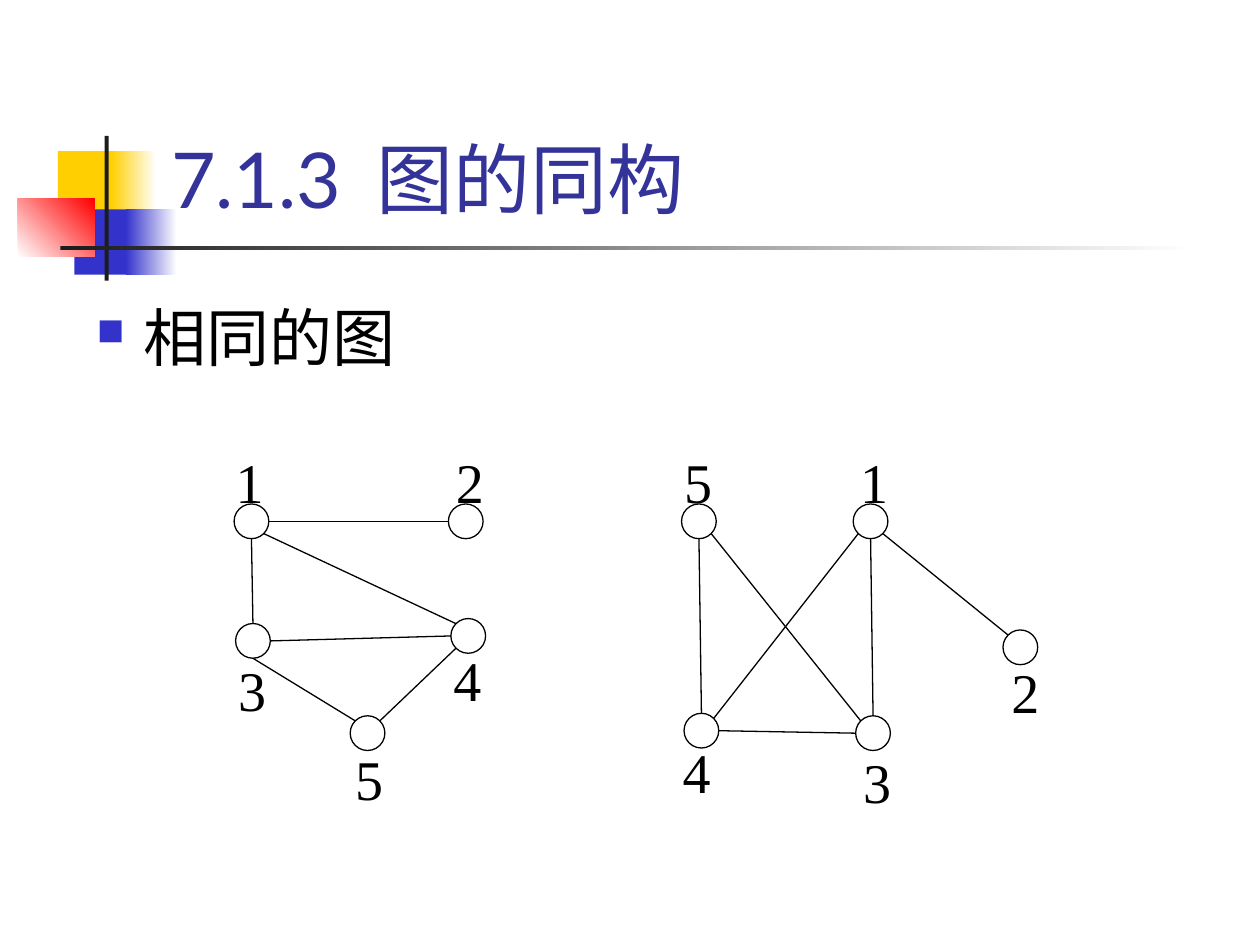
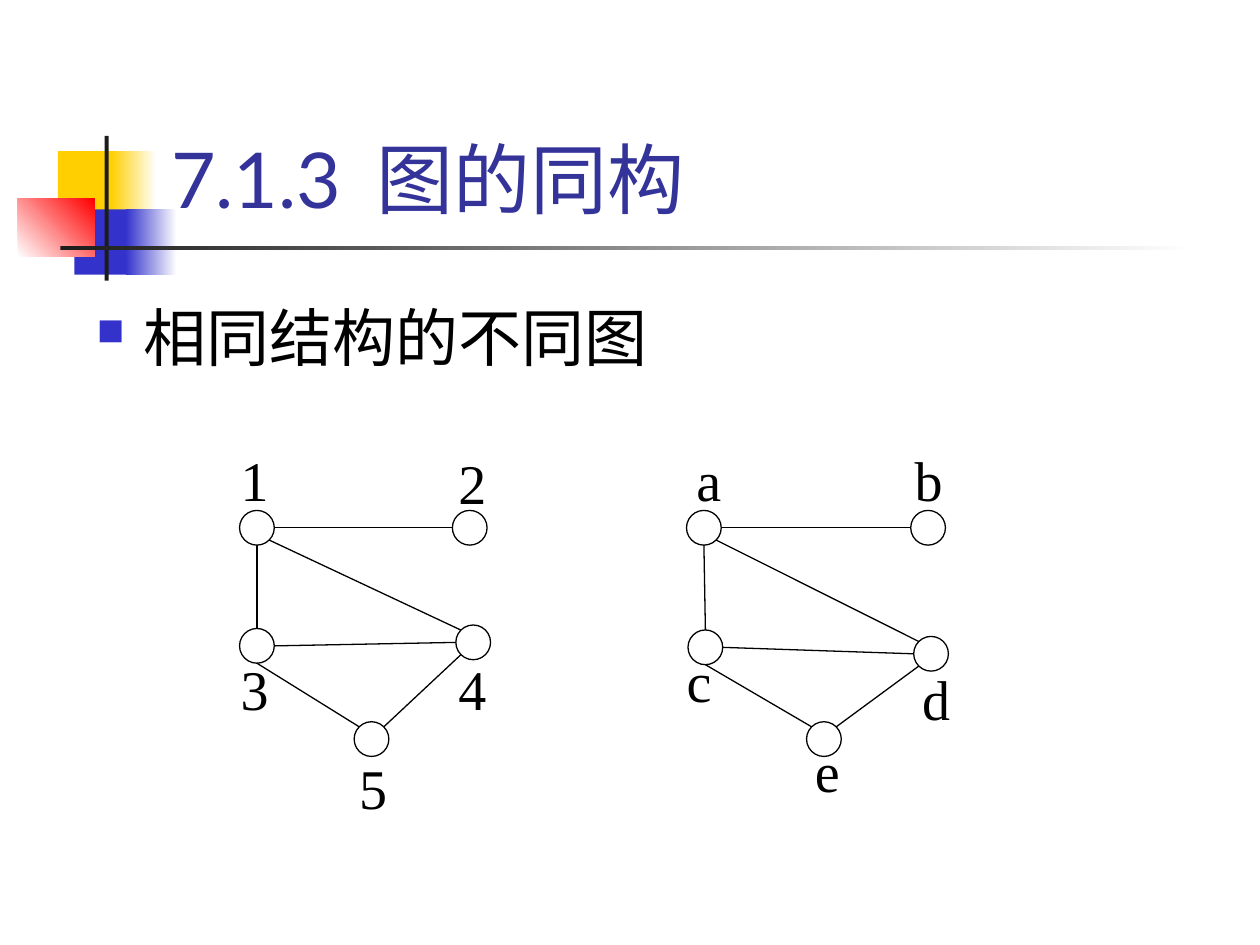
import math
from dataclasses import dataclass

import pptx
import pptx.dml.color
import pptx.enum.shapes
import pptx.enum.text
import pptx.oxml.ns
import pptx.oxml.xmlchemy
import pptx.util
from lxml import etree

Cm = pptx.util.Cm
Pt = pptx.util.Pt
KIND = pptx.enum.shapes.MSO_SHAPE
ALIGN = pptx.enum.text.PP_ALIGN
ANCHOR = pptx.enum.text.MSO_ANCHOR

WHITE, BLACK, INK = "FFFFFF", "000000", "1C1C1C"
GOLD, BLUE, RED, NAVY = "FFCF01", "3333CC", "FF0000", "333399"
SIZE = 0.7
SITES = {"e": 0, "se": 45, "s": 90, "sw": 135, "w": 180, "nw": 225, "n": 270, "ne": 315}

TITLE = {"size": Pt(44), "name": "Lato"}
POINT = {"size": Pt(36), "name": "Lato"}
LABEL = {"size": Pt(32), "name": "Times New Roman"}
FRAME = {"word_wrap": True, "margin_left": Cm(0.25), "margin_right": Cm(0.25),
         "margin_top": Cm(0.13), "margin_bottom": Cm(0.13)}


@dataclass(frozen=True)
class Band:
    left: float
    top: float
    width: float
    height: float
    start: str
    end: str = ""
    angle: int = 0


@dataclass(frozen=True)
class Node:
    name: str
    left: float
    top: float
    text_left: float
    text_top: float
    width: float = 2.36


@dataclass(frozen=True)
class Graph:
    nodes: tuple[Node, ...]
    edges: str


@dataclass(frozen=True)
class Page:
    point: str
    graphs: tuple[Graph, ...]


BANDS = (
    Band(1.17, 3.05, 1.22, 1.32, GOLD),
    Band(2.24, 3.05, 0.91, 1.32, GOLD, WHITE),
    Band(1.5, 4.22, 1.17, 1.32, BLUE),
    Band(2.54, 4.22, 1.02, 1.32, BLUE, WHITE),
    Band(0.36, 4.01, 1.55, 1.17, WHITE, RED, 45),
    Band(2.11, 2.74, 0.08, 2.92, INK),
    Band(1.22, 4.95, 22.86, 0.09, INK, WHITE),
)

HOUSE = "0e-1w 0s-2n 0se-3nw 3sw-4ne 2s-4nw 2e-3w"
CROSS = "4s-3n 0s-2n 3e-2w 4se-2nw 0sw-3ne 0se-1nw"

PAGES = (
    Page("相同的图", (
        Graph((
            Node("1", 4.72, 10.16, 4.5, 8.89),
            Node("2", 9.04, 10.16, 8.94, 8.89),
            Node("3", 4.75, 12.57, 4.55, 13.08),
            Node("4", 9.09, 12.47, 8.89, 12.88),
            Node("5", 7.06, 14.43, 6.91, 14.88),
        ), HOUSE),
        Graph((
            Node("1", 17.2, 10.16, 17.09, 8.89, 1.78),
            Node("2", 20.22, 12.7, 20.14, 13.13),
            Node("3", 17.25, 14.43, 17.15, 14.94),
            Node("4", 13.79, 14.38, 13.51, 14.73),
            Node("5", 13.74, 10.16, 13.54, 8.89),
        ), CROSS),
    )),
    Page("相同结构的不同图", (
        Graph((
            Node("1", 4.83, 10.29, 4.6, 8.86),
            Node("2", 9.12, 10.29, 8.99, 8.92),
            Node("3", 4.83, 12.67, 4.6, 13.06),
            Node("4", 9.19, 12.6, 8.99, 13.06),
            Node("5", 7.14, 14.55, 6.99, 15.06),
        ), HOUSE),
        Graph((
            Node("a", 13.84, 10.29, 13.79, 8.86),
            Node("b", 18.36, 10.29, 18.19, 8.86),
            Node("c", 13.87, 12.7, 13.59, 12.9),
            Node("d", 18.42, 12.83, 18.34, 13.26),
            Node("e", 16.26, 14.55, 16.18, 14.71),
        ), HOUSE),
    )),
)


def color(code: str) -> pptx.dml.color.RGBColor:
    return pptx.dml.color.RGBColor.from_string(code)


def apply(item: object, values: dict) -> None:
    for key, value in values.items():
        setattr(item, key, value)


def add_child(parent: etree._Element, tag: str, **values: str) -> etree._Element:
    child = etree.SubElement(parent, pptx.oxml.ns.qn(tag))
    for key, value in values.items():
        child.set(key, value)
    return child


def add_box(slide, kind, left: float, top: float, width: float, height: float,
            fill: str, line: str = ""):
    shape = slide.shapes.add_shape(kind, Cm(left), Cm(top), Cm(width), Cm(height))
    shape.shadow.inherit = False
    shape.fill.solid()
    shape.fill.fore_color.rgb = color(fill)
    if line:
        shape.line.color.rgb = color(line)
        shape.line.width = Pt(0.75)
    else:
        shape.line.fill.background()
    return shape


def draw_band(slide, band: Band) -> None:
    shape = add_box(slide, KIND.RECTANGLE, band.left, band.top, band.width, band.height,
                    band.start)
    if band.end:
        shape.fill.gradient()
        shape.fill.gradient_angle = band.angle
        for stop, code in zip(shape.fill.gradient_stops, (band.start, band.end)):
            stop.color.rgb = color(code)


def add_text(slide, left: float, top: float, width: float, height: float):
    frame = slide.shapes.add_textbox(Cm(left), Cm(top), Cm(width), Cm(height)).text_frame
    apply(frame, FRAME)
    return frame


def draw_title(slide) -> None:
    frame = add_text(slide, 3.2, 0.58, 21.64, 4.06)
    frame.vertical_anchor = ANCHOR.BOTTOM
    for text in ("7.1.3", " ", "图的同构"):
        run = frame.paragraphs[0].add_run()
        run.text = text
        apply(run.font, TITLE)
        run.font.color.rgb = color(NAVY)
        if text == " ":
            run.font._element.set("spc", "860")


def draw_point(slide, text: str) -> None:
    para = add_text(slide, 1.7, 5.13, 23.2, 13.92).paragraphs[0]
    props = para._p.get_or_add_pPr()
    props.set("marL", str(Cm(0.95)))
    props.set("indent", str(Cm(-0.95)))
    add_child(add_child(props, "a:buClr"), "a:srgbClr", val=BLUE)
    add_child(props, "a:buSzPct", val="60000")
    add_child(props, "a:buChar", char="■")
    para.line_spacing = 1.5
    run = para.add_run()
    run.text = text
    apply(run.font, POINT)
    run.font.color.rgb = color(BLACK)


def draw_label(slide, node: Node) -> None:
    shape = add_box(slide, KIND.RECTANGLE, node.text_left, node.text_top, node.width, 2.03,
                    WHITE, WHITE)
    frame = shape.text_frame
    apply(frame, FRAME)
    frame.vertical_anchor = ANCHOR.TOP
    para = frame.paragraphs[0]
    para.text = node.name
    para.alignment = ALIGN.LEFT
    apply(para.font, LABEL)
    para.font.color.rgb = color(BLACK)


def find_site(graph: Graph, mark: str) -> tuple[int, int]:
    node = graph.nodes[int(mark[0])]
    turn = math.radians(SITES[mark[1:]])
    half = SIZE / 2
    return (Cm(node.left + half * (1 + math.cos(turn))),
            Cm(node.top + half * (1 + math.sin(turn))))


def draw_edge(slide, graph: Graph, edge: str) -> None:
    start, end = (find_site(graph, mark) for mark in edge.split("-"))
    line = slide.shapes.add_connector(pptx.enum.shapes.MSO_CONNECTOR.STRAIGHT, *start, *end)
    line.line.color.rgb = color(BLACK)
    line.line.width = Pt(0.75)
    add_child(line._element.spPr, "a:effectLst")


def draw_page(deck, page: Page) -> None:
    slide = deck.slides.add_slide(deck.slide_layouts[6])
    for band in BANDS:
        draw_band(slide, band)
    draw_title(slide)
    draw_point(slide, page.point)
    nodes = [node for graph in page.graphs for node in graph.nodes]
    for node in nodes:
        draw_label(slide, node)
    for node in nodes:
        add_box(slide, KIND.OVAL, node.left, node.top, SIZE, SIZE, WHITE, BLACK)
    for graph in page.graphs:
        for edge in graph.edges.split():
            draw_edge(slide, graph, edge)


def main() -> None:
    deck = pptx.Presentation()
    apply(deck, {"slide_width": Cm(25.4), "slide_height": Cm(19.05)})
    for page in PAGES:
        draw_page(deck, page)
    deck.save("out.pptx")


if __name__ == "__main__":
    main()
